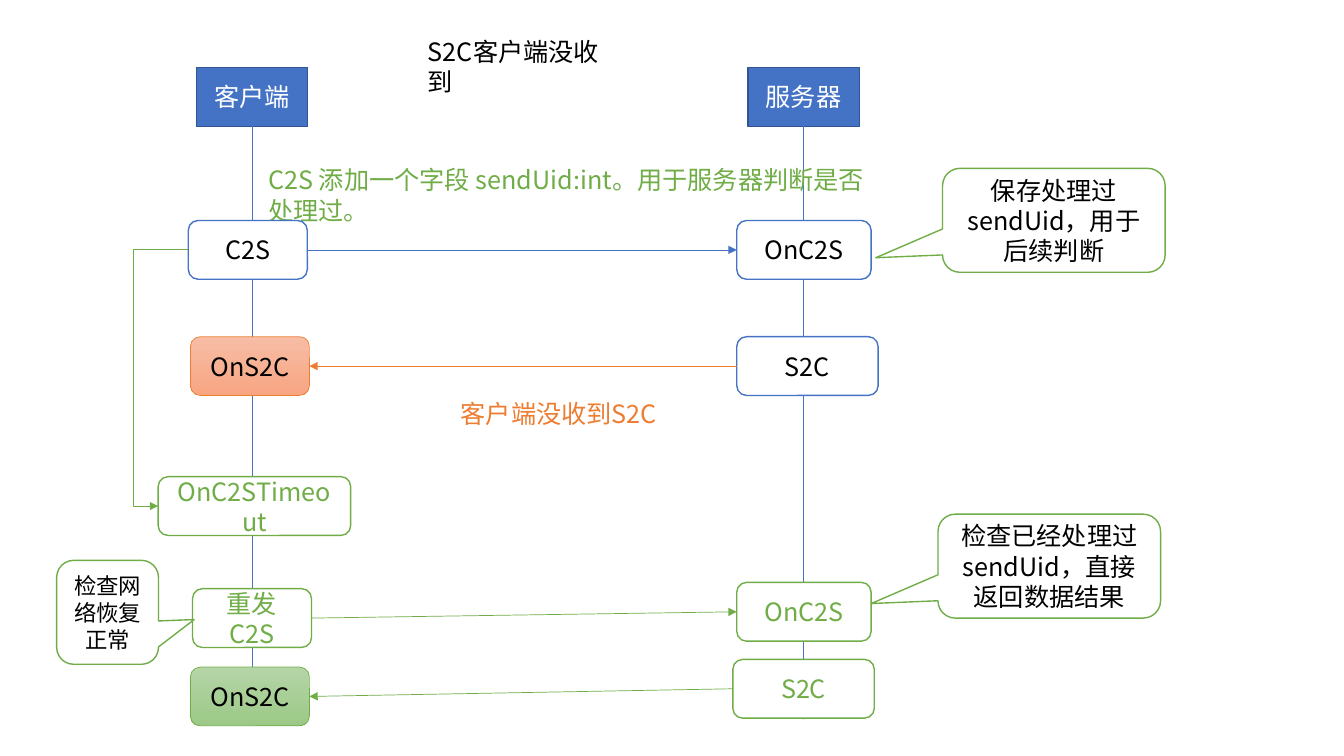
import pptx
import pptx.util
import pptx.dml.color
from pptx.enum.shapes import MSO_CONNECTOR, MSO_SHAPE
from pptx.enum.text import MSO_ANCHOR, MSO_AUTO_SIZE, PP_ALIGN
from pptx.oxml import parse_xml
from pptx.oxml.ns import nsdecls, qn

Pt = pptx.util.Pt
RGBColor = pptx.dml.color.RGBColor

FONT = "Noto Sans CJK SC"
BLUE = RGBColor(0x44, 0x72, 0xC4)
NAVY = RGBColor(0x32, 0x54, 0x91)
GREEN = RGBColor(0x70, 0xAD, 0x47)
ORANGE = RGBColor(0xED, 0x7D, 0x31)
BLACK = RGBColor(0, 0, 0)
WHITE = RGBColor(0xFF, 0xFF, 0xFF)
PEACH = (RGBColor(0xF7, 0xBD, 0xA5), RGBColor(0xF8, 0xA5, 0x82))
SAGE = (RGBColor(0xB5, 0xD5, 0xA7), RGBColor(0x9C, 0xC9, 0x87))

BOX_H = 42
CALLOUT_H = 74.25
TOP, LEFT, BOTTOM, RIGHT = range(4)

# Content: lengths in points
TITLE = ("S2C客户端没收到", 298.5, 22.25, 139, 26)
# text, left, top, width, colour
NOTES = [
    ("客户端没收到S2C", 322, 281, 162, ORANGE),
    ("C2S 添加一个字段 sendUid:int。用于服务器判断是否处理过。", 184.5, 114, 456.5, GREEN),
]
# text, left, top, width, lifeline end
ACTORS = [
    ("客户端", 140.25, 48.25, 79.5, 505.5),
    ("服务器", 534.25, 48.25, 79.5, 514),
]
# key: text, left, top, width, fill, line colour, line width, text colour
STEPS = {
    "send": ("C2S", 134.5, 157.5, 85, WHITE, BLUE, 1, BLACK),
    "receive": ("OnC2S", 526.25, 157.5, 96, WHITE, BLUE, 1, BLACK),
    "reply": ("S2C", 526.25, 240.5, 101, WHITE, BLUE, 1, BLACK),
    "lost": ("OnS2C", 136, 240.5, 85, PEACH, ORANGE, 0.5, BLACK),
    "timeout": ("OnC2STimeout", 113, 340.5, 137.5, WHITE, GREEN, 1, GREEN),
    "resend": ("重发 C2S", 137.5, 420.5, 85, WHITE, GREEN, 1, GREEN),
    "receive again": ("OnC2S", 526.25, 416, 96, WHITE, GREEN, 1, GREEN),
    "reply again": ("S2C", 523.5, 471, 101, WHITE, GREEN, 1, GREEN),
    "done": ("OnS2C", 136, 476.5, 85, SAGE, GREEN, 0.5, BLACK),
}
# from step, side, to step, side, colour
MESSAGES = [
    ("send", RIGHT, "receive", LEFT, BLUE),
    ("reply", LEFT, "lost", RIGHT, ORANGE),
    ("send", LEFT, "timeout", LEFT, GREEN),
    ("resend", RIGHT, "receive again", LEFT, GREEN),
    ("reply again", LEFT, "done", RIGHT, GREEN),
]
ELBOW_X = 95.25
# text, left, top, width, size, pointer offsets
CALLOUTS = [
    ("检查网络恢复正常", 40.5, 400.25, 72.75, 16, (0.85, 0.07)),
    ("检查已经处理过sendUid，直接返回数据结果", 670, 367.25, 159, 18, (-0.8, 0.36)),
    ("保存处理过sendUid，用于后续判断", 673.25, 120.25, 159, 18, (-0.8, 0.36)),
]

prs = pptx.Presentation()
prs.slide_width, prs.slide_height = Pt(960), Pt(540)
slide = prs.slides.add_slide(prs.slide_layouts[5])
shapes = slide.shapes


def write(sp, text, color, size=18, align=PP_ALIGN.CENTER, anchor=MSO_ANCHOR.MIDDLE):
    tf = sp.text_frame
    tf.auto_size = MSO_AUTO_SIZE.NONE
    tf.word_wrap = True
    tf.vertical_anchor = anchor
    p = tf.paragraphs[0]
    p.alignment = align
    r = p.add_run()
    r.text = text
    r.font.size = Pt(size)
    r.font.name = FONT
    r.font.color.rgb = color
    latin = r._r.rPr.find(qn("a:latin"))
    latin.addnext(parse_xml(f'<a:ea {nsdecls("a")} typeface="{FONT}"/>'))


def add_box(kind, left, top, width, height, fill, line, line_width):
    sp = shapes.add_shape(kind, Pt(left), Pt(top), Pt(width), Pt(height))
    sp.shadow.inherit = False
    if isinstance(fill, RGBColor):
        sp.fill.solid()
        sp.fill.fore_color.rgb = fill
    else:
        sp.fill.gradient()
        sp.fill.gradient_angle = 270
        for stop, color in zip(sp.fill.gradient_stops, fill):
            stop.color.rgb = color
    sp.line.color.rgb = line
    sp.line.width = Pt(line_width)
    return sp


def add_arrow(kind, color, x=0, y=0):
    line = shapes.add_connector(kind, Pt(x), Pt(y), Pt(x), Pt(y))
    line.line.color.rgb = color
    line.line.width = Pt(0.5)
    line.line._get_or_add_ln().append(
        parse_xml(f'<a:tailEnd {nsdecls("a")} type="triangle"/>'))
    line._element.spPr.append(parse_xml(f'<a:effectLst {nsdecls("a")}/>'))
    return line


# Title
text, left, top, width, height = TITLE
sp = shapes.title
sp.left, sp.top, sp.width, sp.height = Pt(left), Pt(top), Pt(width), Pt(height)
write(sp, text, BLACK, align=PP_ALIGN.LEFT, anchor=MSO_ANCHOR.TOP)

# Actors with lifelines
for text, left, top, width, end in ACTORS:
    sp = add_box(MSO_SHAPE.RECTANGLE, left, top, width, BOX_H, BLUE, NAVY, 1)
    write(sp, text, WHITE)
    lifeline = add_arrow(MSO_CONNECTOR.STRAIGHT, BLUE, left + width / 2, end)
    lifeline.begin_connect(sp, BOTTOM)

# Free-standing notes
for text, left, top, width, color in NOTES:
    sp = shapes.add_textbox(Pt(left), Pt(top), Pt(width), Pt(26))
    write(sp, text, color, align=PP_ALIGN.LEFT, anchor=MSO_ANCHOR.TOP)

# Steps
boxes = {}
for key, (text, left, top, width, fill, line, line_width, color) in STEPS.items():
    boxes[key] = add_box(MSO_SHAPE.ROUNDED_RECTANGLE, left, top, width, BOX_H,
                         fill, line, line_width)
    write(boxes[key], text, color)

# Messages; the one joining two left sides bends around them
for start, start_side, end, end_side, color in MESSAGES:
    bent = start_side == end_side
    arrow = add_arrow(MSO_CONNECTOR.ELBOW if bent else MSO_CONNECTOR.STRAIGHT, color)
    arrow.begin_connect(boxes[start], start_side)
    arrow.end_connect(boxes[end], end_side)
    if bent:
        ratio = (arrow.begin_x - Pt(ELBOW_X)) / (arrow.begin_x - arrow.end_x)
        guides = arrow._element.spPr.find(qn("a:prstGeom")).get_or_add_avLst()
        guides.append(parse_xml(
            f'<a:gd {nsdecls("a")} name="adj1" fmla="val {round(ratio * 100000)}"/>'))

# Callouts
for text, left, top, width, size, pointer in CALLOUTS:
    sp = add_box(MSO_SHAPE.ROUNDED_RECTANGULAR_CALLOUT, left, top, width, CALLOUT_H,
                 WHITE, GREEN, 1)
    sp.adjustments[0], sp.adjustments[1] = pointer
    write(sp, text, BLACK, size)

prs.save("out.pptx")
